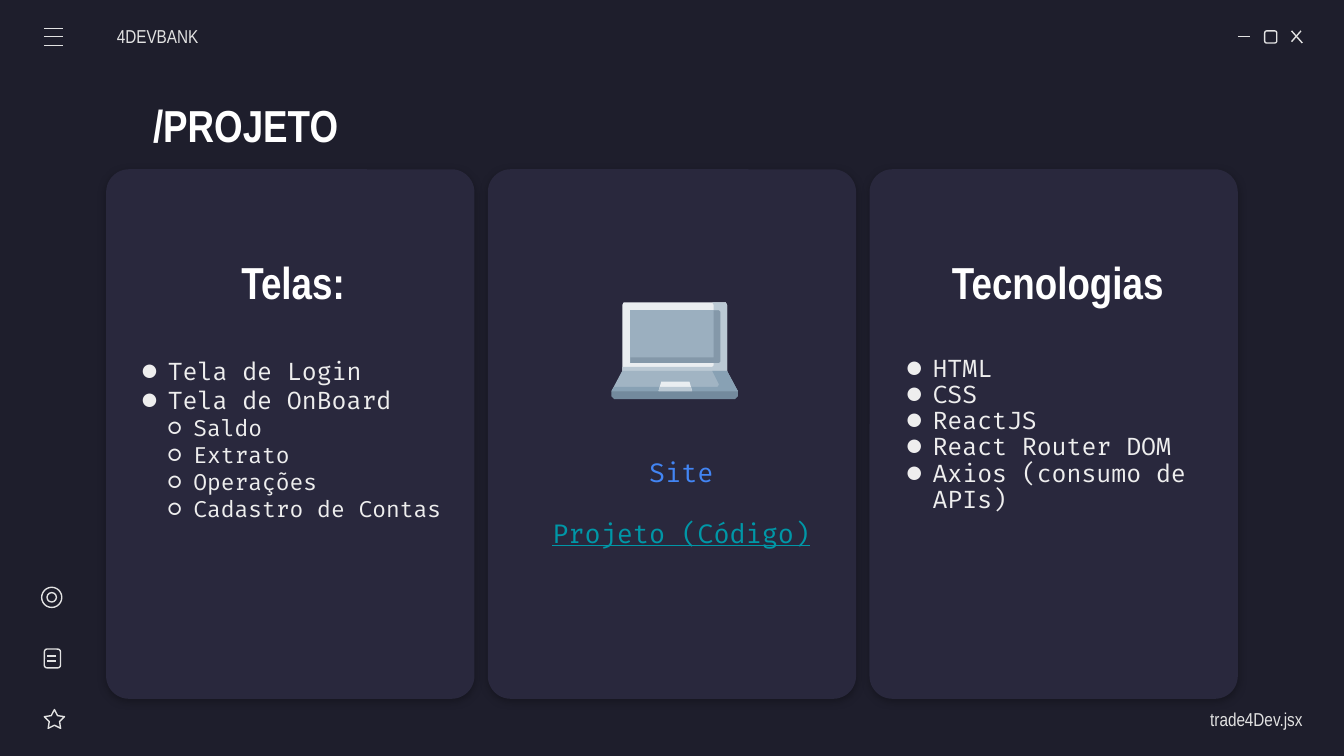
from lxml import etree
from pptx import Presentation
from pptx.dml.color import RGBColor
from pptx.enum import shapes, text
from pptx.oxml import ns
from pptx.util import Inches, Pt

NIGHT = RGBColor(0x1E, 0x1E, 0x2C)
CARD = RGBColor(0x29, 0x28, 0x3D)
ICON = RGBColor(0xE2, 0xE2, 0xE2)
WHITE = RGBColor(0xFF, 0xFF, 0xFF)
BODY = RGBColor(0xEE, 0xEE, 0xEE)
BLUE = RGBColor(0x42, 0x85, 0xF4)
TEAL = RGBColor(0x00, 0x97, 0xA7)
FRAME = RGBColor(0xEA, 0xEE, 0xF1)
FRAME_SHADE = RGBColor(0xBB, 0xC9, 0xD4)
SCREEN = RGBColor(0x9B, 0xAF, 0xBF)
SCREEN_SHADE = RGBColor(0x84, 0x98, 0xA9)
EDGE = RGBColor(0x73, 0x8A, 0x9D)
KEYBOARD = RGBColor(0xA1, 0xB4, 0xC3)
KEYBOARD_SHADE = RGBColor(0x88, 0xA1, 0xB4)

HEADING_FONT, CODE_FONT = "Arial Narrow", "Fira Code"
ALIGN, ANCHOR, SHAPE = text.PP_ALIGN, text.MSO_ANCHOR, shapes.MSO_SHAPE

deck = Presentation()
deck.slide_width = Inches(10)
deck.slide_height = Inches(10 * 9 / 16)
slide = deck.slides.add_slide(deck.slide_layouts[6])
slide.background.fill.solid()
slide.background.fill.fore_color.rgb = NIGHT


def add_text(place, lines, font, size, color, align=ALIGN.LEFT, anchor=ANCHOR.MIDDLE,
             bold=False, underline=False, bullets=False, spacing=1.0, left=0.1, right=0.1):
    """Add a text box; lines holds (level, wording) pairs, and level 1 is set 1 pt smaller."""
    box = slide.shapes.add_textbox(*map(Inches, place))
    frame = box.text_frame
    frame.word_wrap = True
    frame.vertical_anchor = anchor
    frame.margin_left, frame.margin_right = Inches(left), Inches(right)
    frame.margin_top = frame.margin_bottom = Inches(0.1)
    for index, (level, wording) in enumerate(lines):
        para = frame.paragraphs[0] if index == 0 else frame.add_paragraph()
        para.level, para.alignment, para.line_spacing = level, align, spacing
        if bullets:
            props = para._p.get_or_add_pPr()
            props.set("marL", str(Inches(0.49 if level else 0.3)))
            props.set("indent", str(Inches(-0.19)))
            tint = etree.SubElement(props, ns.qn("a:buClr"))
            etree.SubElement(tint, ns.qn("a:srgbClr"), val=str(color))
            etree.SubElement(props, ns.qn("a:buFont"), typeface=font)
            etree.SubElement(props, ns.qn("a:buChar"), char="○" if level else "●")
        span = para.add_run()
        span.text = wording
        span.font.name, span.font.size = font, Pt(size - level)
        span.font.color.rgb = color
        span.font.bold, span.font.underline = bold, underline


# Cards with a soft shadow
for column in range(3):
    card = slide.shapes.add_shape(SHAPE.ROUNDED_RECTANGLE, Inches(0.79 + 2.84 * column),
                                  Inches(1.26), Inches(2.74), Inches(3.94))
    card.adjustments[0] = 0.062
    card.fill.solid()
    card.fill.fore_color.rgb = CARD
    card.line.fill.background()
    card.shadow.inherit = False
    effects = card._element.spPr.find(ns.qn("a:effectLst"))
    shadow = etree.SubElement(effects, ns.qn("a:outerShdw"), blurRad=str(Pt(4.5)),
                              dist=str(Pt(1.5)), dir="5400000", algn="bl", rotWithShape="0")
    black = etree.SubElement(shadow, ns.qn("a:srgbClr"), val="000000")
    etree.SubElement(black, ns.qn("a:alpha"), val="30000")

# Outlined icons: window button, star, document and two rings
for kind, place, adjustment in [
    (SHAPE.ROUNDED_RECTANGLE, (9.41, 0.23, 0.09, 0.09), 0.167),
    (SHAPE.STAR_5_POINT, (0.33, 5.28, 0.15, 0.14), 0.254),
    (SHAPE.ROUNDED_RECTANGLE, (0.33, 4.83, 0.12, 0.14), 0.167),
    (SHAPE.OVAL, (0.31, 4.37, 0.15, 0.15), None),
    (SHAPE.OVAL, (0.35, 4.41, 0.07, 0.07), None),
]:
    icon = slide.shapes.add_shape(kind, *map(Inches, place))
    if adjustment:
        icon.adjustments[0] = adjustment
    icon.fill.background()
    icon.line.color.rgb, icon.line.width = ICON, Pt(0.75)
    icon.shadow.inherit = False

# Strokes: minimise, close, menu bars and document lines
strokes = [(9.21, 0.27, 9.3, 0.27), (9.61, 0.23, 9.69, 0.32), (9.68, 0.23, 9.61, 0.31)]
strokes += [(0.33, y, 0.47, y) for y in (0.21, 0.27, 0.34)]
strokes += [(0.35, y, 0.42, y) for y in (4.88, 4.92)]
for ends in strokes:
    stroke = slide.shapes.add_connector(shapes.MSO_CONNECTOR.STRAIGHT, *map(Inches, ends))
    stroke.line.color.rgb, stroke.line.width = ICON, Pt(0.75)
    etree.SubElement(stroke._element.spPr, ns.qn("a:effectLst"))

# Laptop, from the lid down to the touchpad
for color, points in [
    (FRAME, [(4.64, 2.25), (4.63, 2.27), (4.63, 2.79), (5.41, 2.79), (5.41, 2.27), (5.4, 2.25)]),
    (FRAME_SHADE, [(5.3, 2.25), (5.31, 2.27), (5.31, 2.72), (5.3, 2.73), (4.63, 2.73),
                   (4.63, 2.79), (5.41, 2.79), (5.41, 2.27), (5.4, 2.25)]),
    (SCREEN, [(4.69, 2.31), (4.69, 2.7), (5.35, 2.7), (5.35, 2.31)]),
    (SCREEN_SHADE, [(5.31, 2.31), (5.31, 2.66), (4.69, 2.66), (4.69, 2.7), (5.35, 2.7),
                    (5.36, 2.69), (5.36, 2.32), (5.35, 2.31)]),
    (EDGE, [(4.55, 2.91), (4.55, 2.95), (4.57, 2.97), (5.47, 2.97), (5.49, 2.95), (5.49, 2.91)]),
    (KEYBOARD, [(4.63, 2.76), (4.55, 2.91), (5.49, 2.91), (5.41, 2.76)]),
    (KEYBOARD_SHADE, [(5.3, 2.76), (5.35, 2.86), (5.34, 2.88), (4.57, 2.88), (4.55, 2.91),
                      (5.49, 2.91), (5.41, 2.76)]),
    (FRAME, [(4.93, 2.84), (4.92, 2.84), (4.9, 2.91), (5.15, 2.91), (5.13, 2.84)]),
    (FRAME_SHADE, [(4.91, 2.88), (4.9, 2.91), (5.15, 2.91), (5.14, 2.88)]),
]:
    corners = [(Inches(x), Inches(y)) for x, y in points]
    outline = slide.shapes.build_freeform(*corners[0])
    outline.add_line_segments(corners[1:], close=True)
    part = outline.convert_to_shape()
    part.fill.solid()
    part.fill.fore_color.rgb = color
    part.line.fill.background()
    part.shadow.inherit = False

# Labels and headings
add_text((0.87, 0.12, 1.17, 0.3), [(0, "4DEVBANK")], HEADING_FONT, 10, ICON, left=0)
add_text((8.52, 5.2, 1.17, 0.3), [(0, "trade4Dev.jsx")], HEADING_FONT, 10, ICON,
         align=ALIGN.RIGHT, right=0)
add_text((1.04, 0.63, 7.92, 0.63), [(0, "/PROJETO")], HEADING_FONT, 24, WHITE,
         anchor=ANCHOR.TOP, bold=True)
for x, heading in [(1.02, "Telas:"), (6.71, "Tecnologias")]:
    add_text((x, 1.74, 2.32, 0.71), [(0, heading)], HEADING_FONT, 24, WHITE,
             align=ALIGN.CENTER, bold=True)

# Card contents
screens = [(0, "Tela de Login"), (0, "Tela de OnBoard"), (1, "Saldo"), (1, "Extrato"),
           (1, "Operações"), (1, "Cadastro de Contas")]
technologies = [(0, name) for name in ("HTML", "CSS", "ReactJS", "React Router DOM",
                                       "Axios (consumo de APIs)")]
for x, items, spacing in [(0.85, screens, 1.0), (6.54, technologies, 0.9)]:
    add_text((x, 2.55, 2.58, 1.93), items, CODE_FONT, 13, BODY,
             anchor=ANCHOR.TOP, bullets=True, spacing=spacing)
for y, label, color, underline in [(3.1, "Site", BLUE, False),
                                   (3.56, "Projeto (Código)", TEAL, True)]:
    add_text((3.85, y, 2.44, 0.82), [(0, label)], CODE_FONT, 14, color,
             align=ALIGN.CENTER, underline=underline)

deck.save("out.pptx")
